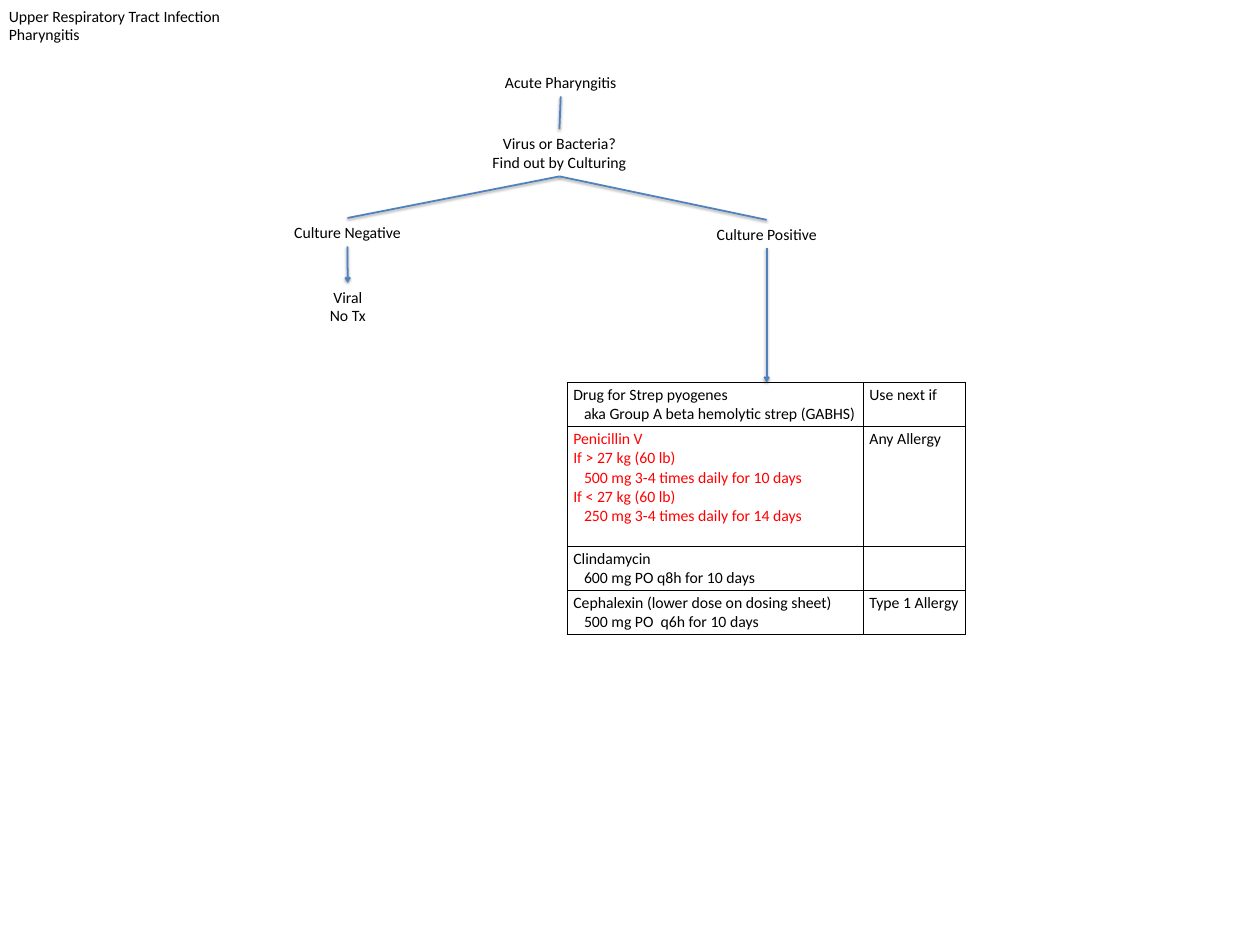
from lxml.etree import SubElement
from pptx import Presentation
from pptx.dml.color import RGBColor
from pptx.enum.shapes import MSO_CONNECTOR
from pptx.enum.text import MSO_AUTO_SIZE, PP_ALIGN
from pptx.oxml import parse_xml
from pptx.oxml.ns import nsdecls, qn
from pptx.util import Pt

SCALE = 9144  # EMU per px, 100 px to the inch
FONT, SIZE = "Calibri", 18
BLACK, RED, BLUE = "000000", "FF0000", "4F81BD"
INDENT = 17

DRUG_ROWS = [
    # height, (text, indented) lines, colour, next choice
    (70, [("Drug for Strep pyogenes", False),
          ("aka Group A beta hemolytic strep (GABHS)", True)], BLACK, "Use next if"),
    (190, [("Penicillin V", False),
           ("If > 27 kg (60 lb)", False),
           ("500 mg 3-4 times daily for 10 days", True),
           ("If < 27 kg (60 lb)", False),
           ("250 mg 3-4 times daily for 14 days", True)], RED, "Any Allergy"),
    (70, [("Clindamycin", False),
          ("600 mg PO q8h for 10 days", True)], BLACK, ""),
    (70, [("Cephalexin (lower dose on dosing sheet)", False),
          ("500 mg PO  q6h for 10 days", True)], BLACK, "Type 1 Allergy"),
]


def px(n):
    return int(n * SCALE)


def rgb(value):
    return RGBColor.from_string(value)


def write(tf, lines, color=BLACK, align=PP_ALIGN.LEFT):
    """Fill a text frame with (text, indented) lines."""
    for i, (text, indented) in enumerate(lines):
        p = tf.paragraphs[0] if i == 0 else tf.add_paragraph()
        p.alignment = align
        if indented:
            p._p.get_or_add_pPr().set("marL", str(px(INDENT)))
        p.font.size = Pt(SIZE)
        if text:
            r = p.add_run()
            r.text = text
            r.font.name, r.font.size = FONT, Pt(SIZE)
            r.font.color.rgb = rgb(color)


def add_text(s, box, *lines, wrap=False, align=PP_ALIGN.CENTER):
    sp = s.shapes.add_textbox(*map(px, box))
    tf = sp.text_frame
    tf.margin_left = tf.margin_right = px(14)
    tf.margin_top = tf.margin_bottom = px(7)
    tf.word_wrap = wrap
    tf.auto_size = MSO_AUTO_SIZE.SHAPE_TO_FIT_TEXT
    write(tf, [(line, False) for line in lines], align=align)
    return sp


def link(s, upper, lower=None, length=0, arrow=False):
    """Join the bottom of one node to the top of another, or go straight down."""
    x, y = upper.left + upper.width // 2, upper.top + upper.height
    c = s.shapes.add_connector(MSO_CONNECTOR.STRAIGHT, x, y, x, y + px(length))
    c.begin_connect(upper, 2)
    if lower is not None:
        c.end_connect(lower, 0)
    c.line.color.rgb = rgb(BLUE)
    c.line.width = Pt(2)
    if arrow:
        SubElement(c.line._get_or_add_ln(), qn("a:tailEnd"), type="arrow")
    c._element.spPr.append(parse_xml(
        f'<a:effectLst {nsdecls("a")}>'
        '<a:outerShdw blurRad="40000" dist="20000" dir="5400000" rotWithShape="0">'
        f'<a:srgbClr val="{BLACK}"><a:alpha val="38000"/></a:srgbClr>'
        '</a:outerShdw></a:effectLst>'))


def flowchart(s, x, y, table_top):
    def node(dx, dy, w, h, *lines):
        return add_text(s, (x + dx, y + dy, w, h), *lines)

    acute = node(335, 0, 208, 45, "Acute Pharyngitis")
    question = node(315, 97, 244, 75, "Virus or Bacteria?", "Find out by Culturing")
    negative = node(0, 238, 201, 45, "Culture Negative")
    positive = node(671, 241, 190, 45, "Culture Positive")
    viral = node(57, 341, 88, 75, "Viral", "No Tx")

    link(s, acute, question)
    link(s, question, negative)
    link(s, question, positive)
    link(s, negative, viral, arrow=True)
    link(s, positive, length=table_top - (y + 241 + 45), arrow=True)


def outline(cell):
    tcPr = cell._tc.get_or_add_tcPr()
    for i, side in enumerate(("lnL", "lnR", "lnT", "lnB")):
        tcPr.insert(i, parse_xml(
            f'<a:{side} {nsdecls("a")} w="12700"><a:solidFill>'
            f'<a:srgbClr val="{BLACK}"/></a:solidFill></a:{side}>'))


def drug_table(s, x, y, widths):
    height = sum(row[0] for row in DRUG_ROWS)
    table = s.shapes.add_table(len(DRUG_ROWS), len(widths), px(x), px(y),
                               px(sum(widths)), px(height)).table
    table.first_row = table.horz_banding = False
    for column, width in zip(table.columns, widths):
        column.width = px(width)
    for row, (row_height, drug, color, next_if) in zip(table.rows, DRUG_ROWS):
        row.height = px(row_height)
        write(row.cells[0].text_frame, drug, color=color)
        write(row.cells[1].text_frame, [(next_if, False)])
        for cell in row.cells:
            cell.fill.background()
            outline(cell)


def main():
    prs = Presentation()
    prs.slide_width, prs.slide_height = px(2000), px(1500)
    s = prs.slides.add_slide(prs.slide_layouts[6])
    table_top = 607
    add_text(s, (0, 3, 380, 75), "Upper Respiratory Tract Infection", "Pharyngitis",
             wrap=True, align=PP_ALIGN.LEFT)
    drug_table(s, 900, table_top, (470, 163))
    flowchart(s, 451, 108, table_top)
    prs.save("out.pptx")


if __name__ == "__main__":
    main()
